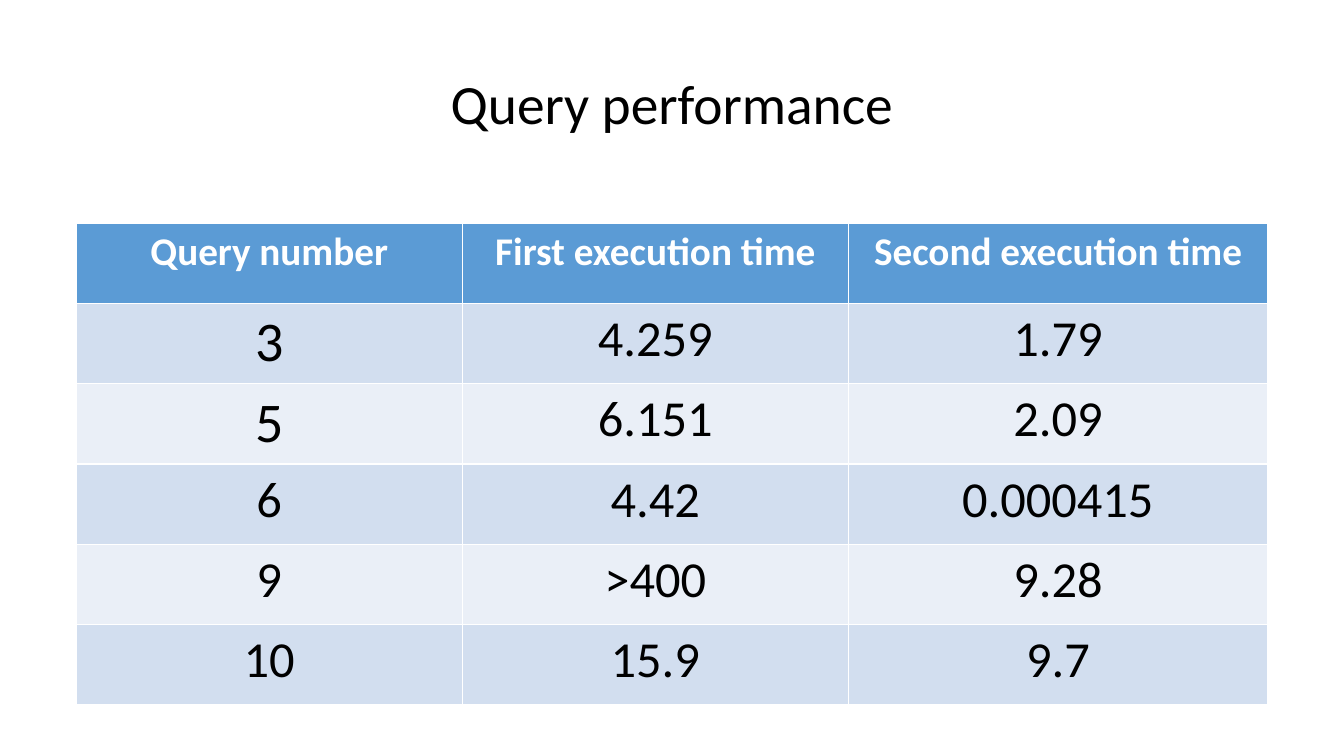
"""Build a slide with a table of query execution times."""
from dataclasses import dataclass

from pptx import Presentation
from pptx.dml.color import RGBColor
from pptx.enum.text import MSO_ANCHOR, PP_ALIGN
from pptx.util import Pt

CENTER = PP_ALIGN.CENTER
MIDDLE = MSO_ANCHOR.MIDDLE
BLACK = RGBColor(0x00, 0x00, 0x00)
WHITE = RGBColor(0xFF, 0xFF, 0xFF)
HEADER_BLUE = RGBColor(0x5B, 0x9B, 0xD5)
BAND_DARK = RGBColor(0xD2, 0xDE, 0xEF)
BAND_LIGHT = RGBColor(0xEA, 0xEF, 0xF7)
FONT = "Calibri"
COLUMN_WIDTHS = (275.8, 275.8, 299.5)
ROW_HEIGHT = 57.35


@dataclass(frozen=True)
class TextStyle:
    size: float
    color: RGBColor = BLACK
    bold: bool = False


@dataclass(frozen=True)
class Timing:
    query: str
    first: str
    second: str
    query_size: float = 36


TITLE = TextStyle(39.6)
HEADER = TextStyle(28, WHITE, True)
VALUE = TextStyle(36)
HEADINGS = ("Query number", "First execution time", "Second execution time")
TIMINGS = (
    Timing("3", "4.259", "1.79", 40),
    Timing("5", "6.151", "2.09", 40),
    Timing("6", "4.42", "0.000415"),
    Timing("9", ">400", "9.28"),
    Timing("10", "15.9", "9.7"),
)


def write(frame, text: str, style: TextStyle) -> None:
    paragraph = frame.paragraphs[0]
    paragraph.alignment = CENTER
    run = paragraph.add_run()
    run.text = text
    run.font.name = FONT
    run.font.size = Pt(style.size)
    run.font.bold = style.bold
    run.font.color.rgb = style.color


def fill_cell(cell, text: str, style: TextStyle, color: RGBColor) -> None:
    cell.fill.solid()
    cell.fill.fore_color.rgb = color
    write(cell.text_frame, text, style)


def add_title(slide) -> None:
    title = slide.shapes.add_textbox(Pt(66), Pt(49), Pt(828), Pt(54)).text_frame
    title.word_wrap = True
    title.vertical_anchor = MIDDLE
    write(title, "Query performance", TITLE)
    title.paragraphs[0].line_spacing = 0.9


def add_timings(slide) -> None:
    row_count = len(TIMINGS) + 1
    timings = slide.shapes.add_table(
        row_count, len(HEADINGS), Pt(54.4), Pt(159.4),
        Pt(sum(COLUMN_WIDTHS)), Pt(ROW_HEIGHT * row_count),
    ).table
    for column, width in zip(timings.columns, COLUMN_WIDTHS):
        column.width = Pt(width)
    for row in timings.rows:
        row.height = Pt(ROW_HEIGHT)
    for index, heading in enumerate(HEADINGS):
        fill_cell(timings.cell(0, index), heading, HEADER, HEADER_BLUE)
    for index, timing in enumerate(TIMINGS, start=1):
        band = BAND_DARK if index % 2 else BAND_LIGHT
        fill_cell(timings.cell(index, 0), timing.query, TextStyle(timing.query_size), band)
        fill_cell(timings.cell(index, 1), timing.first, VALUE, band)
        fill_cell(timings.cell(index, 2), timing.second, VALUE, band)


def main() -> None:
    presentation = Presentation()
    presentation.slide_width = Pt(960)
    presentation.slide_height = Pt(540)
    slide = presentation.slides.add_slide(presentation.slide_layouts[6])
    add_title(slide)
    add_timings(slide)
    presentation.save("out.pptx")


if __name__ == "__main__":
    main()
